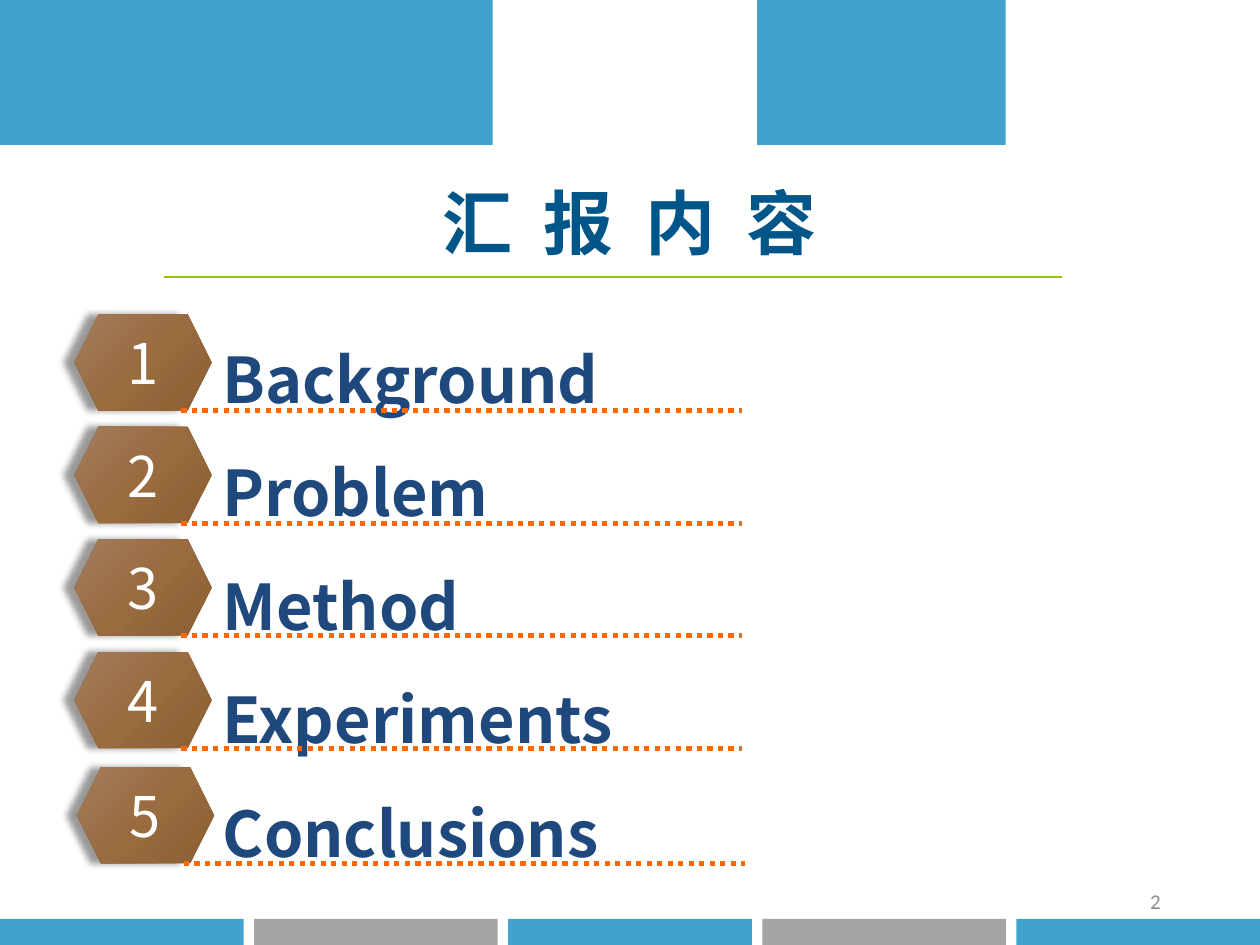
from pptx import Presentation
from pptx.dml.color import RGBColor
from pptx.enum.dml import MSO_LINE
from pptx.enum.shapes import MSO_CONNECTOR, MSO_SHAPE
from pptx.enum.text import MSO_ANCHOR, PP_ALIGN
from pptx.oxml import parse_xml
from pptx.oxml.ns import qn
from pptx.util import Pt
from lxml import etree

RECT, HEX = MSO_SHAPE.RECTANGLE, MSO_SHAPE.HEXAGON
LEFT, MID, RIGHT = PP_ALIGN.LEFT, PP_ALIGN.CENTER, PP_ALIGN.RIGHT
TOP, CENTER = MSO_ANCHOR.TOP, MSO_ANCHOR.MIDDLE
DOTS = MSO_LINE.ROUND_DOT
BLUE = RGBColor(0x41, 0xA2, 0xCD)
GRAY = RGBColor(0xA5, 0xA5, 0xA5)
TEAL = RGBColor(0x00, 0x56, 0x89)
NAVY = RGBColor(0x1F, 0x49, 0x7D)
GREEN = RGBColor(0x94, 0xC6, 0x00)
ORANGE = RGBColor(0xFF, 0x67, 0x00)
WHITE = RGBColor(0xFF, 0xFF, 0xFF)
DIM = RGBColor(0x8C, 0x8C, 0x8C)
SANS = "Noto Sans CJK SC"
NS = 'xmlns:a="http://schemas.openxmlformats.org/drawingml/2006/main"'
BROWN = f'''<a:gradFill {NS} rotWithShape="1"><a:gsLst>
<a:gs pos="0"><a:srgbClr val="A27D5F"/></a:gs>
<a:gs pos="50000"><a:srgbClr val="996B3F"/></a:gs>
<a:gs pos="100000"><a:srgbClr val="8C5F34"/></a:gs></a:gsLst>
<a:path path="circle"><a:fillToRect r="100000" b="100000"/></a:path></a:gradFill>'''
SHADE = f'''<a:outerShdw {NS} blurRad="{Pt(4)}" dist="{Pt(6)}" dir="10800000" rotWithShape="0">
<a:srgbClr val="000000"><a:alpha val="40000"/></a:srgbClr></a:outerShdw>'''


def write(shape, text, size, color, font=SANS, bold=False, align=LEFT,
          anchor=TOP, lead=None, inset=3.6, gap=0):
    frame = shape.text_frame
    frame.word_wrap = True
    frame.vertical_anchor = anchor
    frame.margin_top = Pt(inset)
    frame.text = text
    for para in frame.paragraphs:
        para.alignment = align
        para.line_spacing = lead
        run = para.runs[0]
        run.font.size = Pt(size)
        run.font.bold = bold
        run.font.name = font
        run.font.color.rgb = color
        props = run.font._element
        etree.SubElement(props, qn("a:ea")).set("typeface", font)
        if gap:
            props.set("spc", str(int(gap * 100)))


def rule(x, y, end, color, width, dash=None):
    line = shapes.add_connector(MSO_CONNECTOR.STRAIGHT, Pt(x), Pt(y), Pt(end), Pt(y))
    line.line.color.rgb = color
    line.line.width = Pt(width)
    if dash:
        line.line.dash_style = dash
    etree.SubElement(line._element.spPr, qn("a:effectLst"))


deck = Presentation()
deck.slide_width, deck.slide_height = Pt(720), Pt(540)
slide = deck.slides.add_slide(deck.slide_layouts[6])
shapes = slide.shapes

bars = [(0, 0, 281.5, 82.8, BLUE), (432.7, 0, 142, 82.8, BLUE)]
for i in range(5):
    bars.append((i * 145.2, 525, 139.2, 15, GRAY if i % 2 else BLUE))
for x, y, w, h, color in bars:
    bar = shapes.add_shape(RECT, Pt(x), Pt(y), Pt(w), Pt(h))
    bar.shadow.inherit = False
    bar.fill.solid()
    bar.fill.fore_color.rgb = color
    bar.line.fill.background()

title = shapes.add_textbox(0, Pt(95.8), Pt(720), Pt(55.4))
write(title, "汇 报 内 容", 40, TEAL, bold=True, align=MID, lead=Pt(48), inset=6.9, gap=4.5)
rule(93.6, 158.4, 607, GREEN, 1)

names = ["Background", "Problem", "Method", "Experiments", "Conclusions"]
topics = shapes.add_textbox(Pt(120.2), Pt(166.3), Pt(595.4), Pt(353.5))
write(topics, "\n".join(names), 36, NAVY, bold=True, lead=Pt(64.8), inset=6.7)

spots = [(42.5, 179.7 + 64.3 * i) for i in range(4)] + [(43.9, 438.5)]
for num, (x, y) in enumerate(spots, 1):
    badge = shapes.add_shape(HEX, Pt(x), Pt(y), Pt(78.5), Pt(55))
    badge.shadow.inherit = False
    badge.line.fill.background()
    props = badge._element.spPr
    props.insert(2, parse_xml(BROWN))
    props.find(qn("a:effectLst")).append(parse_xml(SHADE))
    write(badge, str(num), 32, WHITE, align=MID, anchor=CENTER)
    rule(x + 61.2, y + 55, x + 381.6, ORANGE, 3, DOTS)

page = shapes.add_textbox(Pt(508.3), Pt(500.4), Pt(162), Pt(28.8))
write(page, "2", 12, DIM, font="Calibri", align=RIGHT, anchor=CENTER)

deck.save("out.pptx")
